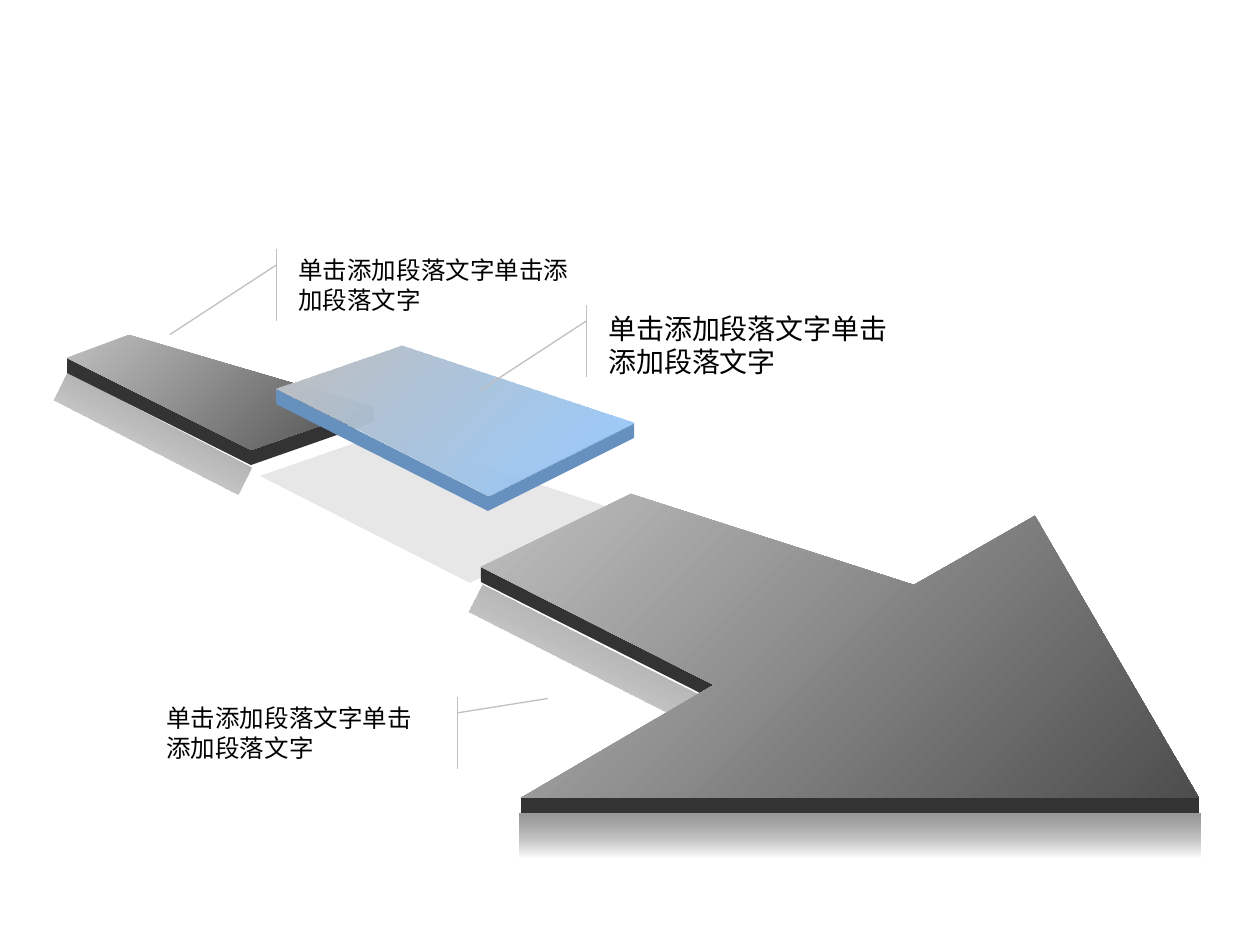
"""Build a slide with a broken 3-D arrow, one raised glass piece and three callouts."""
from dataclasses import dataclass

from pptx import Presentation
from pptx import util as u
from pptx.dml.color import RGBColor
from pptx.enum import shapes, text
from pptx.oxml.ns import qn
from lxml import etree

EMU_PER_PX = 914400 / 126
DEPTH = 15
Points = list[tuple[int, int]]


@dataclass(frozen=True)
class Paint:
    colors: tuple[str, ...]
    alphas: tuple[int, ...] = (100, 100)
    angle: int = 45


@dataclass(frozen=True)
class Theme:
    font: str = "Arial"
    text: str = "000000"
    line: str = "C0C0C0"
    small: int = 14
    large: int = 16
    line_width: float = 0.75
    stone: Paint = Paint(("C0C0C0", "4D4D4D"))
    stone_side: Paint = Paint(("333333",))
    glass: Paint = Paint(("BFBFBF", "8DC6FF"), (100, 90))
    glass_side: Paint = Paint(("6690BE",))
    floor: Paint = Paint(("C0C0C0",), (38,))
    shade: Paint = Paint(("5F5F5F", "969696"), (0, 100), 90)


@dataclass(frozen=True)
class Slab:
    top: Points
    fronts: list[Points]
    top_paint: Paint
    side_paint: Paint


@dataclass(frozen=True)
class Shade:
    box: tuple[int, int, int, int]
    rotation: int


@dataclass(frozen=True)
class Callout:
    box: tuple[int, int, int, int]
    adjust: tuple[float, ...]
    size: int


THEME = Theme()
WORDING = "单击添加段落文字单击添加段落文字"
RIGHT_OF_BAR = (0.22, -0.03, 1.19, -0.37)
LEFT_OF_BAR = (0.22, 1.04, 0.02, 1.35)

TAIL = Slab([(67, 358), (251, 450), (374, 407), (129, 335)],
            [[(67, 358), (251, 450), (374, 407)]], THEME.stone, THEME.stone_side)
GLASS = Slab([(276, 389), (488, 496), (634, 423), (401, 346)],
             [[(276, 389), (488, 496), (634, 423)]], THEME.glass, THEME.glass_side)
HEAD = Slab([(481, 567), (714, 685), (521, 798), (1199, 798),
             (1035, 516), (914, 585), (631, 494)],
            [[(481, 567), (714, 685)], [(521, 798), (1199, 798)]],
            THEME.stone, THEME.stone_side)
FLOOR: Points = [(470, 583), (617, 510), (384, 433), (260, 476)]
TAIL_SHADE = Shade((49, 418, 207, 31), 207)
NECK_SHADE = Shade((461, 644, 271, 31), 207)
HEAD_SHADE = Shade((519, 814, 681, 44), 180)
CALLOUTS = [
    Callout((286, 249, 314, 72), RIGHT_OF_BAR, THEME.small),
    Callout((596, 305, 314, 72), RIGHT_OF_BAR, THEME.large),
    Callout((154, 697, 292, 72), LEFT_OF_BAR, THEME.small),
]


def px(n: int) -> u.Emu:
    return u.Emu(round(n * EMU_PER_PX))


def set_all(target, values: dict) -> None:
    for name, value in values.items():
        setattr(target, name, value)


def paint(sp, look: Paint) -> None:
    sp.shadow.inherit = False
    sp.line.fill.background()
    if len(look.colors) == 1:
        sp.fill.solid()
        sp.fill.fore_color.rgb = RGBColor.from_string(look.colors[0])
    else:
        sp.fill.gradient()
        sp.fill.gradient_angle = 360 - look.angle
        for stop, color in zip(sp.fill.gradient_stops, look.colors):
            stop.color.rgb = RGBColor.from_string(color)
    for node, alpha in zip(sp._element.spPr.iter(qn("a:srgbClr")), look.alphas):
        if alpha < 100:
            etree.SubElement(node, qn("a:alpha")).set("val", str(alpha * 1000))


def draw_polygon(slide, points: Points, look: Paint) -> None:
    builder = slide.shapes.build_freeform(*points[0], scale=EMU_PER_PX)
    builder.add_line_segments(points[1:], close=True)
    paint(builder.convert_to_shape(), look)


def draw_slab(slide, slab: Slab) -> None:
    for front in slab.fronts:
        lower = [(x, y + DEPTH) for x, y in reversed(front)]
        draw_polygon(slide, front + lower, slab.side_paint)
    draw_polygon(slide, slab.top, slab.top_paint)


def draw_shade(slide, shade: Shade) -> None:
    sp = slide.shapes.add_shape(shapes.MSO_SHAPE.RECTANGLE, *map(px, shade.box))
    sp.rotation = shade.rotation
    paint(sp, THEME.shade)


def draw_callout(slide, callout: Callout) -> None:
    kind = shapes.MSO_SHAPE.LINE_CALLOUT_1_ACCENT_BAR
    sp = slide.shapes.add_shape(kind, *map(px, callout.box))
    for i, value in enumerate(callout.adjust):
        sp.adjustments[i] = value
    sp.shadow.inherit = False
    sp.fill.background()
    sp.line.color.rgb = RGBColor.from_string(THEME.line)
    sp.line.width = u.Pt(THEME.line_width)
    tf = sp.text_frame
    set_all(tf, {"word_wrap": True, "vertical_anchor": text.MSO_ANCHOR.TOP})
    p = tf.paragraphs[0]
    p.alignment = text.PP_ALIGN.LEFT
    r = p.add_run()
    r.text = WORDING
    set_all(r.font, {"name": THEME.font, "size": u.Pt(callout.size)})
    r.font.color.rgb = RGBColor.from_string(THEME.text)


def main() -> None:
    prs = Presentation()
    set_all(prs, {"slide_width": px(1260), "slide_height": px(945)})
    slide = prs.slides.add_slide(prs.slide_layouts[6])
    draw_shade(slide, TAIL_SHADE)
    draw_slab(slide, TAIL)
    draw_polygon(slide, FLOOR, THEME.floor)
    draw_slab(slide, GLASS)
    for callout in CALLOUTS:
        draw_callout(slide, callout)
    draw_shade(slide, NECK_SHADE)
    draw_slab(slide, HEAD)
    draw_shade(slide, HEAD_SHADE)
    prs.save("out.pptx")


if __name__ == "__main__":
    main()
